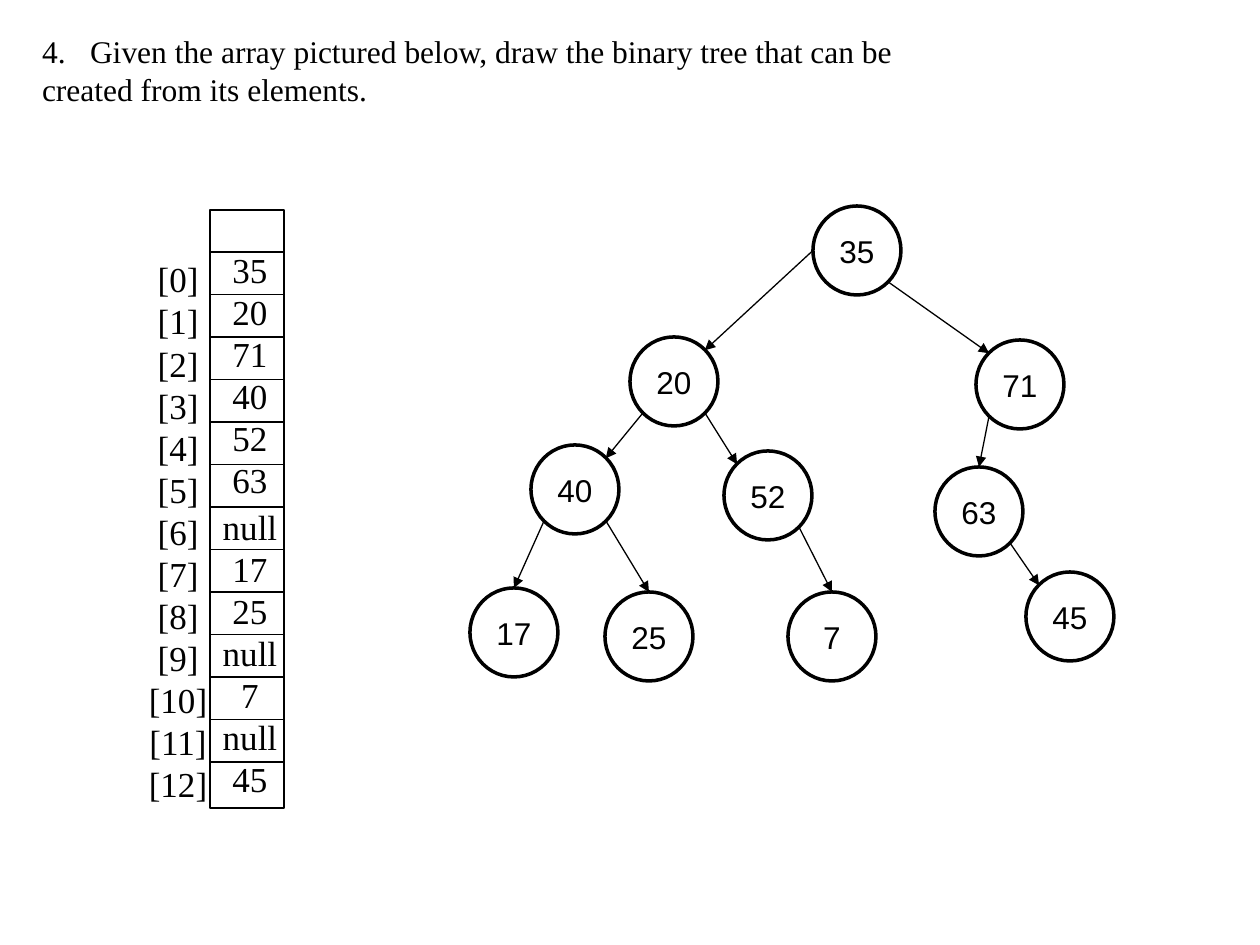
from pptx import Presentation
from pptx.dml.color import RGBColor
from pptx.enum.shapes import MSO_CONNECTOR, MSO_SHAPE
from pptx.enum.text import MSO_ANCHOR, PP_ALIGN
from pptx.oxml.ns import qn
from pptx.util import Emu, Pt
from lxml.etree import SubElement

PX = 914400 // 126
COLORS = {"ink": "000000", "paper": "FFFFFF"}
INK = RGBColor.from_string(COLORS["ink"])
PAPER = RGBColor.from_string(COLORS["paper"])

presentation = Presentation()
presentation.slide_width, presentation.slide_height = Emu(1260 * PX), Emu(945 * PX)
slide = presentation.slides.add_slide(presentation.slide_layouts[6])


def add_text(box, lines, size, spacing, align):
    shape = slide.shapes.add_textbox(*[Emu(v * PX) for v in box])
    frame = shape.text_frame
    frame.margin_left = frame.margin_right = frame.margin_top = frame.margin_bottom = 0
    frame.word_wrap = True
    frame.text = "\n".join(lines)
    for paragraph in frame.paragraphs:
        paragraph.alignment = align
        paragraph.line_spacing = Pt(spacing)
        font = paragraph.runs[0].font
        font.name, font.size = "Times New Roman", Pt(size)
        font.color.rgb = INK
    return frame.paragraphs


def add_line(start, end, arrow=False):
    line = slide.shapes.add_connector(
        MSO_CONNECTOR.STRAIGHT, *[Emu(round(v * PX)) for v in (*start, *end)])
    line.line.color.rgb = INK
    line.line.width = Pt(0.75)
    properties = line._element.spPr
    if arrow:
        SubElement(properties.find(qn("a:ln")), qn("a:tailEnd"), type="triangle")
    SubElement(properties, qn("a:effectLst"))


# Question, numbered 4
question = add_text(
    (42, 32, 880, 80),
    ["Given the array pictured below, draw the binary tree that can be",
     "created from its elements."], 18, 21.6, PP_ALIGN.LEFT)
numbering = question[0]._p.get_or_add_pPr()
numbering.set("marL", str(48 * PX))
numbering.set("indent", str(-48 * PX))
SubElement(numbering, qn("a:buFont"), typeface="+mj-lt")
SubElement(numbering, qn("a:buAutoNum"), type="arabicPeriod", startAt="4")

# Array: frame, row rules, indexes and values
values = ["35", "20", "71", "40", "52", "63", "null",
          "17", "25", "null", "7", "null", "45"]
left, right, first_rule, row_height = 210, 284, 252, 42.5
frame_shape = slide.shapes.add_shape(
    MSO_SHAPE.RECTANGLE, *[Emu(v * PX) for v in (left, 210, right - left, 598)])
frame_shape.shadow.inherit = False
frame_shape.fill.background()
frame_shape.line.color.rgb = INK
frame_shape.line.width = Pt(0.75)
for row in range(len(values)):
    y = first_rule + row * row_height
    add_line((left, y), (right, y))
add_text((136, 258, 84, 546), [f"[{i}]" for i in range(len(values))],
         20, 24, PP_ALIGN.CENTER)
elements = add_text((210, 248, 80, 552), values, 20, 24, PP_ALIGN.CENTER)
elements[values.index("null")].space_before = Pt(3)

# Tree nodes: left and top of each circle
NODE_WIDTH, NODE_HEIGHT = 88, 89
nodes = {
    "35": (813, 206), "20": (630, 337), "71": (976, 340),
    "40": (531, 445), "52": (724, 451), "63": (935, 467),
    "17": (470, 588), "25": (605, 592), "7": (788, 592), "45": (1026, 572),
}
for label, (x, y) in nodes.items():
    node = slide.shapes.add_shape(
        MSO_SHAPE.OVAL, *[Emu(v * PX) for v in (x, y, NODE_WIDTH, NODE_HEIGHT)])
    node.shadow.inherit = False
    node.fill.solid()
    node.fill.fore_color.rgb = PAPER
    node.line.color.rgb = INK
    node.line.width = Pt(2)
    frame = node.text_frame
    frame.text = label
    frame.vertical_anchor = MSO_ANCHOR.MIDDLE
    paragraph = frame.paragraphs[0]
    paragraph.alignment = PP_ALIGN.CENTER
    font = paragraph.runs[0].font
    font.name, font.size = "Arial", Pt(18)
    font.color.rgb = INK

# Tree edges: parent and its side, child and its side
sides = {
    "top": (0.5, 0), "left": (0, 0.5),
    "top left": (0.15, 0.15), "top right": (0.85, 0.15),
    "bottom left": (0.15, 0.85), "bottom right": (0.85, 0.85),
}
edges = [
    ("35", "left", "20", "top right"), ("35", "bottom right", "71", "top left"),
    ("20", "bottom left", "40", "top right"), ("20", "bottom right", "52", "top left"),
    ("71", "bottom left", "63", "top"), ("40", "bottom left", "17", "top"),
    ("40", "bottom right", "25", "top"), ("52", "bottom right", "7", "top"),
    ("63", "bottom right", "45", "top left"),
]
for parent, parent_side, child, child_side in edges:
    start, end = [
        (nodes[label][0] + sides[side][0] * NODE_WIDTH,
         nodes[label][1] + sides[side][1] * NODE_HEIGHT)
        for label, side in ((parent, parent_side), (child, child_side))]
    add_line(start, end, arrow=True)

presentation.save("out.pptx")
